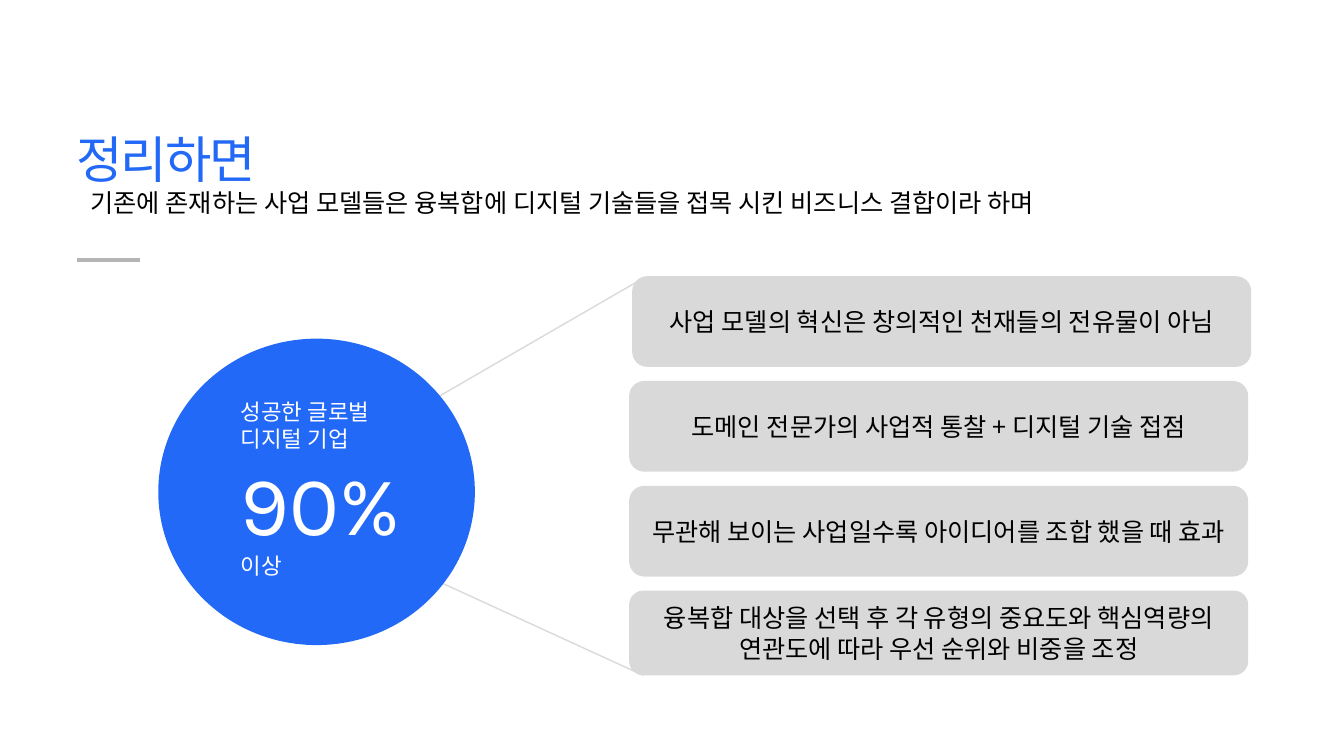
"""Builds the summary slide: a blue 90% circle opening onto four grey conclusions."""
from lxml import etree
from pptx import Presentation
from pptx.dml.color import RGBColor
from pptx.enum.shapes import MSO_CONNECTOR, MSO_SHAPE
from pptx.enum.text import MSO_ANCHOR, MSO_AUTO_SIZE, PP_ALIGN
from pptx.oxml.ns import qn
from pptx.util import Emu, Pt

TITLE = "정리하면"
SUBTITLE = "기존에 존재하는 사업 모델들은 융복합에 디지털 기술들을 접목 시킨 비즈니스 결합이라 하며"
KOREAN, LATIN = "Noto Sans CJK KR", "Karla"
CIRCLE_SPANS = [
    ("성공한 글로벌 디지털 기업 ", 16, KOREAN),
    ("90% ", 60, LATIN),
    ("이상", 16, KOREAN),
]
CONCLUSIONS = [
    (627, 90, "사업 모델의 혁신은 창의적인 천재들의 전유물이 아님"),
    (624, 90, "도메인 전문가의 사업적 통찰 + 디지털 기술 접점"),
    (624, 90, "무관해 보이는 사업일수록 아이디어를 조합 했을 때 효과"),
    (624, 84, "융복합 대상을 선택 후 각 유형의 중요도와 핵심역량의 연관도에 따라 우선 순위와 비중을 조정"),
]
CONCLUSION_TOP, CONCLUSION_PITCH, CONCLUSION_WIDTH = 274, 104, 614

BLUE = RGBColor(0x22, 0x69, 0xF7)
PALE = RGBColor(0xDA, 0xDA, 0xDA)
RULE = RGBColor(0xB5, 0xB5, 0xB5)
GREY = RGBColor(0xD9, 0xD9, 0xD9)
BLACK = RGBColor(0, 0, 0)
WHITE = RGBColor(0xFF, 0xFF, 0xFF)
LINES = [
    (372, 548, 638, 670, PALE, 1),
    (377, 427, 638, 276, PALE, 1),
    (76, 258, 139, 258, RULE, 2.5),
]

STRAIGHT = MSO_CONNECTOR.STRAIGHT
OVAL, ROUNDED = MSO_SHAPE.OVAL, MSO_SHAPE.ROUNDED_RECTANGLE
MIDDLE, CENTER = MSO_ANCHOR.MIDDLE, PP_ALIGN.CENTER
FIT_SHAPE = MSO_AUTO_SIZE.SHAPE_TO_FIT_TEXT
EMU_PER_PX = 9144


def px(*lengths):
    return [Emu(length * EMU_PER_PX) for length in lengths]


def style(font, size, color, name=KOREAN):
    font.size = Pt(size)
    font.color.rgb = color
    font.name = name
    etree.SubElement(font._element, qn("a:ea"), typeface=name)


def add_line(page, x1, y1, x2, y2, color, width):
    line = page.shapes.add_connector(STRAIGHT, *px(x1, y1, x2, y2))
    line.line.color.rgb = color
    line.line.width = Pt(width)
    etree.SubElement(line._element.spPr, qn("a:effectLst"))


def add_filled(page, kind, bounds, color):
    shape = page.shapes.add_shape(kind, *px(*bounds))
    shape.shadow.inherit = False
    shape.fill.solid()
    shape.fill.fore_color.rgb = color
    shape.line.fill.background()
    return shape


def add_text(page, bounds, wrap=True):
    frame = page.shapes.add_textbox(*px(*bounds)).text_frame
    frame.word_wrap = wrap
    frame.auto_size = FIT_SHAPE
    return frame


def main():
    deck = Presentation()
    deck.slide_width, deck.slide_height = px(1333, 750)
    page = deck.slides.add_slide(deck.slide_layouts[6])

    for line in LINES:
        add_line(page, *line)
    add_filled(page, OVAL, (157, 336, 314, 304), BLUE)

    title = add_text(page, (76, 127, 178, 61), wrap=False)
    title.margin_left = title.margin_top = title.margin_right = title.margin_bottom = 0
    para = title.paragraphs[0]
    para.text = TITLE
    style(para.font, 36, BLUE)
    para.font._element.set("spc", "-150")

    para = add_text(page, (229, 390, 179, 192)).paragraphs[0]
    for words, size, name in CIRCLE_SPANS:
        span = para.add_run()
        span.text = words
        style(span.font, size, WHITE, name)

    for row, (left, height, words) in enumerate(CONCLUSIONS):
        top = CONCLUSION_TOP + row * CONCLUSION_PITCH
        box = add_filled(page, ROUNDED, (left, top, CONCLUSION_WIDTH, height), GREY)
        box.text_frame.word_wrap = True
        box.text_frame.vertical_anchor = MIDDLE
        para = box.text_frame.paragraphs[0]
        para.text = words
        para.alignment = CENTER
        style(para.font, 18, BLACK)

    para = add_text(page, (80, 181, 1037, 40)).paragraphs[0]
    para.text = SUBTITLE
    style(para.font, 18, BLACK)

    deck.save("out.pptx")


if __name__ == "__main__":
    main()
